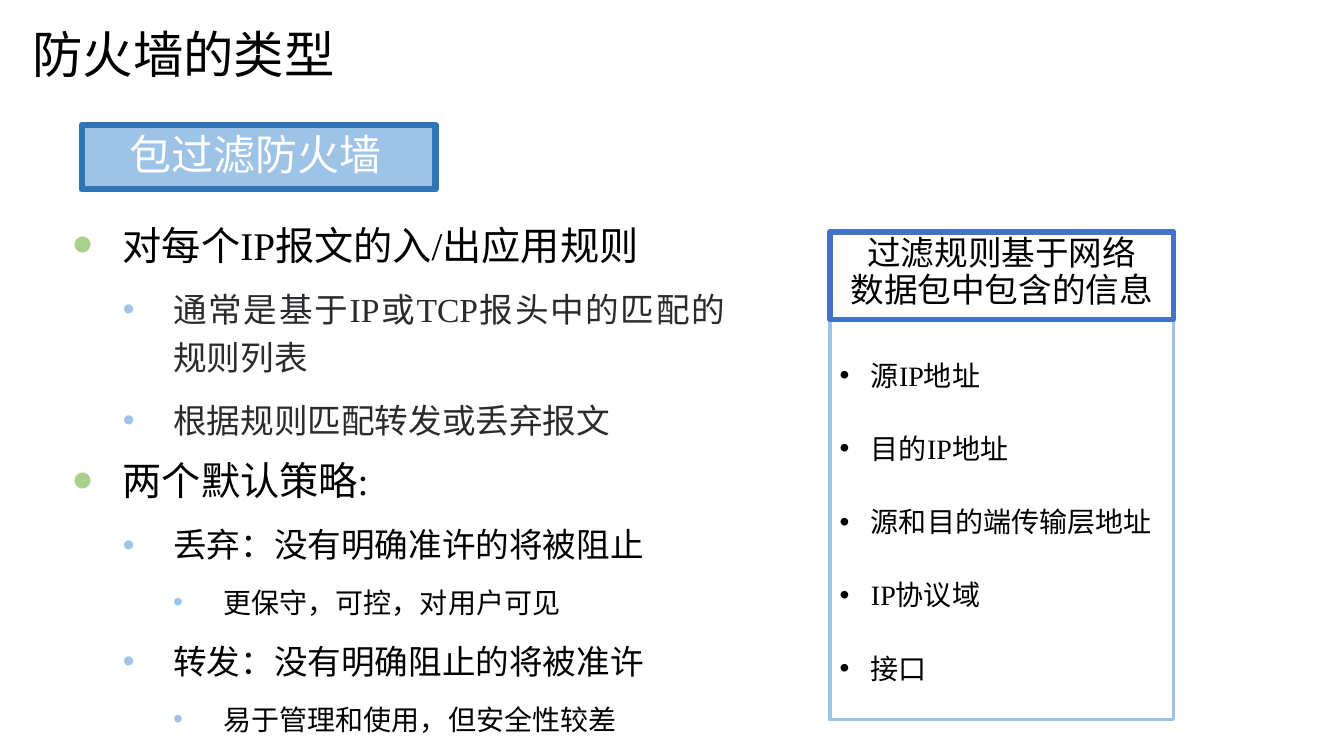
import pptx
import pptx.util
import pptx.dml.color
import pptx.enum.shapes
import pptx.enum.text
import pptx.oxml.ns
import lxml.etree

Inches = pptx.util.Inches
Pt = pptx.util.Pt
RGBColor = pptx.dml.color.RGBColor
Align = pptx.enum.text.PP_ALIGN
Anchor = pptx.enum.text.MSO_ANCHOR
RECTANGLE = pptx.enum.shapes.MSO_SHAPE.RECTANGLE

SANS = "Noto Sans CJK SC"
SERIF = "Times New Roman"
BLACK = RGBColor(0x00, 0x00, 0x00)
WHITE = RGBColor(0xFF, 0xFF, 0xFF)
CHARCOAL = RGBColor(0x2A, 0x2B, 0x2E)
GREEN = RGBColor(0xA9, 0xD1, 0x8E)
LIGHT_BLUE = RGBColor(0x9D, 0xC3, 0xE6)
DARK_BLUE = RGBColor(0x2E, 0x75, 0xB6)
ROYAL_BLUE = RGBColor(0x44, 0x72, 0xC4)


def write(paragraph, text, size, face, color, indent=None, bullet=None, bullet_size=100):
    paragraph.text = text
    properties = paragraph._p.get_or_add_pPr()
    if indent:
        margin, hanging = indent
        properties.set("marL", str(Inches(margin)))
        properties.set("indent", str(Inches(-hanging)))
    if bullet is not None:
        bullet_color = lxml.etree.SubElement(properties, pptx.oxml.ns.qn("a:buClr"))
        lxml.etree.SubElement(bullet_color, pptx.oxml.ns.qn("a:srgbClr"), val=str(bullet))
        lxml.etree.SubElement(properties, pptx.oxml.ns.qn("a:buSzPct"), val=str(bullet_size * 1000))
        lxml.etree.SubElement(properties, pptx.oxml.ns.qn("a:buFont"), typeface="Arial")
        lxml.etree.SubElement(properties, pptx.oxml.ns.qn("a:buChar"), char="•")
    font = paragraph.font
    font.size = Pt(size)
    font.color.rgb = color
    font.name = face
    lxml.etree.SubElement(font._element, pptx.oxml.ns.qn("a:ea"), typeface=SANS)


def add_box(shapes, left, top, width, height, fill, line, line_width):
    box = shapes.add_shape(RECTANGLE, Inches(left), Inches(top), Inches(width), Inches(height))
    box.shadow.inherit = False
    if fill is None:
        box.fill.background()
    else:
        box.fill.solid()
        box.fill.fore_color.rgb = fill
    box.line.color.rgb = line
    box.line.width = Pt(line_width)
    return box.text_frame


presentation = pptx.Presentation()
presentation.slide_width = Inches(13.33)
presentation.slide_height = Inches(7.5)
slide = presentation.slides.add_slide(presentation.slide_layouts[6])

title = slide.shapes.add_textbox(Inches(0.21), Inches(0), Inches(5.91), Inches(1.06)).text_frame
title.word_wrap = True
title.vertical_anchor = Anchor.MIDDLE
title.margin_left = title.margin_right = Inches(0.11)
title.margin_top = title.margin_bottom = Inches(0.06)
write(title.paragraphs[0], "防火墙的类型", 36, SANS, BLACK)

banner = add_box(slide.shapes, 0.81, 1.24, 3.51, 0.64, LIGHT_BLUE, DARK_BLUE, 4.33)
banner.vertical_anchor = Anchor.MIDDLE
banner.margin_left = banner.margin_right = Inches(0.47)
banner.margin_top = banner.margin_bottom = 0
banner.paragraphs[0].alignment = Align.LEFT
banner.paragraphs[0].line_spacing = 0.9
write(banner.paragraphs[0], "包过滤防火墙", 30, SANS, WHITE)

filter_panel = slide.shapes.add_group_shape()

criteria = add_box(filter_panel.shapes, 8.23, 3.17, 3.41, 3.97, None, LIGHT_BLUE, 2.5)
criteria.vertical_anchor = Anchor.TOP
for index, text in enumerate(["源IP地址", "目的IP地址", "源和目的端传输层地址", "IP协议域", "接口"]):
    criterion = criteria.add_paragraph() if index else criteria.paragraphs[0]
    criterion.level = 1
    criterion.alignment = Align.LEFT
    criterion.line_spacing = 2.0
    criterion.space_before = Pt(4.3)
    write(criterion, text, 20, SERIF, BLACK, (0.31, 0.31), BLACK)

heading = add_box(filter_panel.shapes, 8.23, 2.3, 3.41, 0.87, WHITE, ROYAL_BLUE, 4)
heading.vertical_anchor = Anchor.TOP
for index, text in enumerate(["过滤规则基于网络", "数据包中包含的信息"]):
    heading_line = heading.add_paragraph() if index else heading.paragraphs[0]
    heading_line.alignment = Align.CENTER
    heading_line.line_spacing = 0.9
    write(heading_line, text, 24, SANS, BLACK, (0.25, 0.25))

outline = slide.shapes.add_textbox(Inches(0.62), Inches(2.05), Inches(6.67), Inches(5.34)).text_frame
outline.word_wrap = True
level_sizes = {1: 28, 2: 24, 3: 20}
points = [
    (1, "对每个IP报文的入/出应用规则", SERIF, BLACK),
    (2, "通常是基于IP或TCP报头中的匹配的规则列表", SERIF, CHARCOAL),
    (2, "根据规则匹配转发或丢弃报文", SANS, CHARCOAL),
    (1, "两个默认策略:", SERIF, BLACK),
    (2, "丢弃：没有明确准许的将被阻止", SERIF, BLACK),
    (3, "更保守，可控，对用户可见", SERIF, BLACK),
    (2, "转发：没有明确阻止的将被准许", SERIF, BLACK),
    (3, "易于管理和使用，但安全性较差", SERIF, BLACK),
]
for index, (level, text, face, color) in enumerate(points):
    point = outline.add_paragraph() if index else outline.paragraphs[0]
    top_level = level == 1
    point.level = level
    point.alignment = Align.JUSTIFY
    point.line_spacing = 1.2
    point.space_before = Pt(0 if top_level else 5)
    point.space_after = Pt(4.2 if top_level else 5)
    write(point, text, level_sizes[level], face, color, (level * 0.5, 0.5),
          GREEN if top_level else LIGHT_BLUE, 150 if top_level else 100)

presentation.save("out.pptx")
